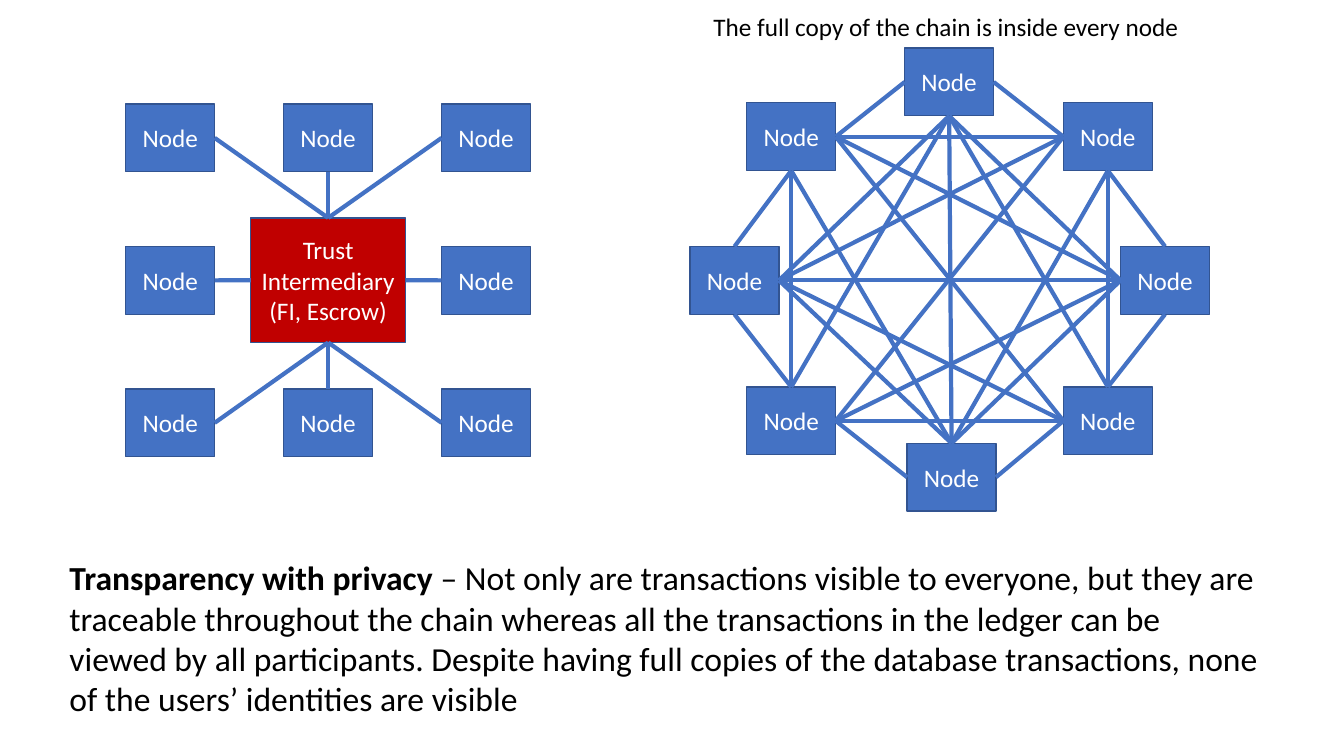
from dataclasses import dataclass, field
from itertools import combinations, product

from lxml.etree import SubElement
from pptx import Presentation
from pptx.dml.color import RGBColor
from pptx.enum.shapes import MSO_CONNECTOR, MSO_SHAPE
from pptx.enum.text import MSO_ANCHOR, MSO_AUTO_SIZE, PP_ALIGN
from pptx.oxml.ns import qn
from pptx.shapes.autoshape import Shape
from pptx.slide import Slide
from pptx.text.text import TextFrame
from pptx.util import Cm, Pt

TOP, LEFT, BOTTOM, RIGHT = range(4)
BLUE, DARK_BLUE, RED = "4472C4", "325491", "C00000"
BLACK, WHITE = "000000", "FFFFFF"
NODE_WIDTH, NODE_HEIGHT = 2.24, 1.71

STAR_LEFT, STAR_TOP = 3.17, 2.62
STAR_COLUMN_STEP, STAR_ROW_STEP = 3.98, 3.59
# Side of the hub and side of the node for each column and row of the star
STAR_SIDES = {
    (0, 0): (TOP, RIGHT), (1, 0): (TOP, BOTTOM), (2, 0): (TOP, LEFT),
    (0, 1): (LEFT, RIGHT), (2, 1): (RIGHT, LEFT),
    (0, 2): (BOTTOM, RIGHT), (1, 2): (BOTTOM, TOP), (2, 2): (BOTTOM, LEFT),
}


@dataclass(frozen=True)
class Peer:
    """A ring node: lines leave from inner_side unless side_to names another."""
    name: str
    left: float
    top: float
    inner_side: int
    side_to: dict[str, int] = field(default_factory=dict)


PEERS = [
    Peer("N", 22.8, 1.21, BOTTOM, {"NW": LEFT, "NE": RIGHT}),
    Peer("NE", 26.8, 2.59, LEFT, {"E": BOTTOM, "SE": BOTTOM, "S": BOTTOM}),
    Peer("E", 28.24, 6.21, LEFT, {"NE": TOP, "SE": BOTTOM}),
    Peer("SE", 26.8, 9.75, LEFT, {"E": TOP, "NE": TOP, "N": TOP}),
    Peer("S", 22.86, 11.17, TOP, {"SE": RIGHT, "SW": LEFT}),
    Peer("SW", 18.82, 9.75, RIGHT, {"W": TOP, "NW": TOP, "N": TOP}),
    Peer("W", 17.39, 6.21, RIGHT, {"NW": TOP, "SW": BOTTOM}),
    Peer("NW", 18.82, 2.59, RIGHT, {"W": BOTTOM, "SW": BOTTOM, "S": BOTTOM}),
]


def rgb(value: str) -> RGBColor:
    return RGBColor.from_string(value)


def add_text(frame: TextFrame, text: str, *, size: float = 18, color: str = BLACK,
             bold: bool = False, align: PP_ALIGN = PP_ALIGN.LEFT) -> None:
    """Append a formatted run to the first paragraph of the frame."""
    paragraph = frame.paragraphs[0]
    paragraph.alignment = align
    run = paragraph.add_run()
    run.text = text
    run.font.name = "Calibri"
    run.font.size = Pt(size)
    run.font.bold = bold
    run.font.color.rgb = rgb(color)


def add_box(slide: Slide, text: str, left: float, top: float,
            width: float = NODE_WIDTH, height: float = NODE_HEIGHT,
            fill: str = BLUE) -> Shape:
    shape = slide.shapes.add_shape(MSO_SHAPE.RECTANGLE, Cm(left), Cm(top),
                                   Cm(width), Cm(height))
    shape.shadow.inherit = False
    shape.fill.solid()
    shape.fill.fore_color.rgb = rgb(fill)
    shape.line.color.rgb = rgb(DARK_BLUE)
    shape.line.width = Pt(1)
    shape.text_frame.word_wrap = True
    shape.text_frame.vertical_anchor = MSO_ANCHOR.MIDDLE
    add_text(shape.text_frame, text, color=WHITE, align=PP_ALIGN.CENTER)
    return shape


def add_link(slide: Slide, start: Shape, start_side: int,
             end: Shape, end_side: int) -> None:
    connector = slide.shapes.add_connector(MSO_CONNECTOR.STRAIGHT, 0, 0, 0, 0)
    connector.begin_connect(start, start_side)
    connector.end_connect(end, end_side)
    connector.line.color.rgb = rgb(BLUE)
    connector.line.width = Pt(3)
    SubElement(connector._element.spPr, qn("a:effectLst"))


def add_text_frame(slide: Slide, left: float, top: float, width: float,
                   height: float, *, wrap: bool) -> TextFrame:
    frame = slide.shapes.add_textbox(Cm(left), Cm(top), Cm(width), Cm(height)).text_frame
    frame.word_wrap = wrap
    frame.auto_size = MSO_AUTO_SIZE.SHAPE_TO_FIT_TEXT
    return frame


def add_star_network(slide: Slide) -> None:
    hub = add_box(slide, "Trust Intermediary (FI, Escrow)", 6.32, 5.49, 3.9, 3.14, RED)
    for row, column in product(range(3), repeat=2):
        if (column, row) not in STAR_SIDES:
            continue
        hub_side, node_side = STAR_SIDES[column, row]
        node = add_box(slide, "Node", STAR_LEFT + column * STAR_COLUMN_STEP,
                       STAR_TOP + row * STAR_ROW_STEP)
        add_link(slide, node, node_side, hub, hub_side)


def add_peer_network(slide: Slide) -> None:
    """Draw the ring and link every pair of its nodes."""
    boxes = {peer.name: add_box(slide, "Node", peer.left, peer.top) for peer in PEERS}
    for first, second in combinations(PEERS, 2):
        add_link(slide,
                 boxes[first.name], first.side_to.get(second.name, first.inner_side),
                 boxes[second.name], second.side_to.get(first.name, second.inner_side))


def main() -> None:
    presentation = Presentation()
    presentation.slide_width, presentation.slide_height = Cm(33.87), Cm(19.05)
    slide = presentation.slides.add_slide(presentation.slide_layouts[6])

    summary = add_text_frame(slide, 1.5, 13.92, 30.6, 4.36, wrap=True)
    add_text(summary, "Transparency with privacy", size=24, bold=True)
    add_text(summary, " – Not only are transactions visible to everyone, but they are "
             "traceable throughout the chain whereas all the transactions in the ledger "
             "can be viewed by all participants. Despite having full copies of the "
             "database transactions, none of the users’ identities are visible", size=24)

    add_star_network(slide)
    add_peer_network(slide)

    caption = add_text_frame(slide, 17.73, 0.16, 12.4, 1.03, wrap=False)
    add_text(caption, "The full copy of the chain is inside every node")

    presentation.save("out.pptx")


if __name__ == "__main__":
    main()
